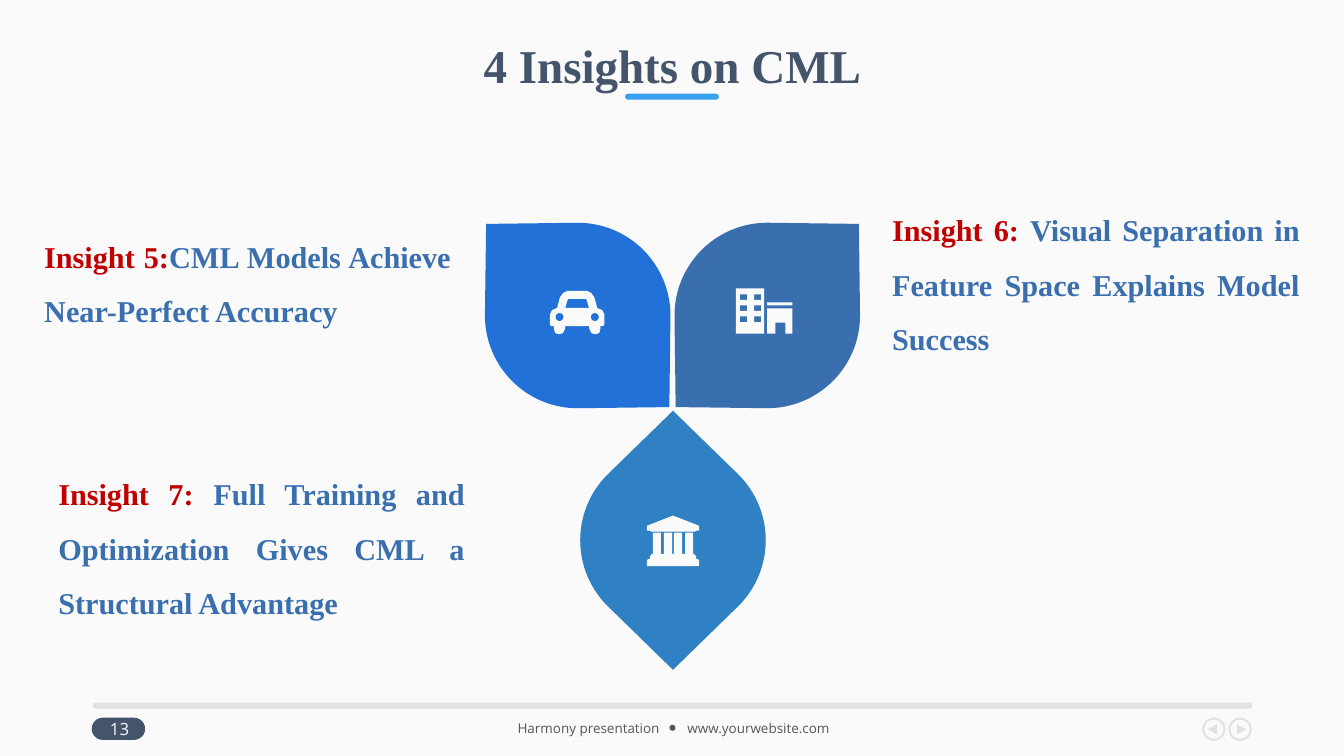
from math import cos, pi, sin

from pptx import Presentation
from pptx.dml.color import RGBColor
from pptx.enum.shapes import MSO_SHAPE
from pptx.enum.text import MSO_ANCHOR, PP_ALIGN
from pptx.util import Cm, Pt

ROUND, OVAL = MSO_SHAPE.ROUNDED_RECTANGLE, MSO_SHAPE.OVAL
TOP, MIDDLE = MSO_ANCHOR.TOP, MSO_ANCHOR.MIDDLE
LEFT, CENTER, RIGHT, JUSTIFY = PP_ALIGN.LEFT, PP_ALIGN.CENTER, PP_ALIGN.RIGHT, PP_ALIGN.JUSTIFY
SERIF, SANS = "Times New Roman", "Open Sans"
PAPER, SLATE, GREY, PALE, RED, BLUE = "FAFAFA", "44546A", "565656", "E1E1E1", "C00000", "3A6FAF"

TITLE = "4 Insights on CML"
INSIGHTS = [
    ("Insight 5:", "CML Models Achieve Near-Perfect Accuracy", (0.34, 1.77, 4.23, 1.45)),
    ("Insight 6: ", "Visual Separation in Feature Space Explains Model Success", (8.75, 1.51, 4.24, 2.56)),
    ("Insight 7: ", "Full Training and Optimization Gives CML a Structural Advantage", (0.48, 4.13, 4.23, 2.17)),
]
FOOTER = [("Harmony presentation", 4.76, RIGHT), ("www.yourwebsite.com", 6.72, LEFT)]
BARS = [
    ((0.91, 7.12, 0.53, 0.22), SLATE),
    ((6.2, 0.93, 0.93, 0.06), "39A0ED"),
    ((0.92, 6.97, 11.5, 0.06), PALE),
]
PETAL_RADIUS, PETAL_TIP = 0.92, 1.285
PETALS = [(5.73, 3.13, 315, "2271D8"), (7.61, 3.13, 45, BLUE), (6.675, 5.36, 0, "2F81C4")]
BUTTONS = [(12.3, 1), (12.04, -1)]

CAR_AXIS, BANK_AXIS = 5.725, 6.675
CAR_BODY = [
    (5.63, 2.89), (5.59, 2.91), (5.56, 2.95), (5.53, 3.06), (5.48, 3.08), (5.46, 3.12),
    (5.46, 3.22), (5.47, 3.23), (5.5, 3.23), (5.5, 3.26), (5.51, 3.3), (5.55, 3.31),
    (5.58, 3.3), (5.6, 3.26), (5.6, 3.23),
]
CAR_WINDOW = [(5.63, 2.96), (5.6, 3.06)]
BANK_ROOF = [(6.675, 5.12), (6.42, 5.22), (6.42, 5.26), (6.45, 5.26), (6.46, 5.27)]
BANK_COLUMNS = [
    (6.66, 5.5), (6.66, 5.29), (6.59, 5.29), (6.59, 5.5), (6.55, 5.5), (6.55, 5.29),
    (6.48, 5.29), (6.48, 5.5), (6.47, 5.5), (6.45, 5.52), (6.45, 5.54),
]
BANK_BASE = [(6.43, 5.55), (6.42, 5.57), (6.42, 5.61)]
SHOP = [(7.61, 3.31), (7.69, 3.31), (7.69, 3.2), (7.79, 3.2), (7.79, 3.31), (7.86, 3.31), (7.86, 3.06), (7.61, 3.06)]


def inch(v):
    return Cm(v * 2.54)


def rgb(c):
    return RGBColor.from_string(c)


def paint(sp, fill, line=None):
    sp.shadow.inherit = False
    sp.fill.solid()
    sp.fill.fore_color.rgb = rgb(fill)
    if line:
        sp.line.color.rgb = rgb(fill)
        sp.line.width = Pt(line)
    else:
        sp.line.fill.background()


def shape(kind, box, fill, adjust=()):
    sp = s.shapes.add_shape(kind, *map(inch, box))
    for i, a in enumerate(adjust):
        sp.adjustments[i] = a
    paint(sp, fill)


def outline(contours, fill, line=None, rotation=0):
    fb = None
    for pts in contours:
        pts = [(inch(x), inch(y)) for x, y in pts]
        if fb is None:
            fb = s.shapes.build_freeform(*pts[0], scale=1.0)
        else:
            fb.move_to(*pts[0])
        fb.add_line_segments(pts[1:], close=True)
    sp = fb.convert_to_shape()
    sp.rotation = rotation
    paint(sp, fill, line)


def text(runs, box, size, font=SANS, bold=False, align=CENTER, anchor=MIDDLE, spacing=1.0, insets=(0.1, 0.05, 0.1, 0.05)):
    tf = s.shapes.add_textbox(*map(inch, box)).text_frame
    tf.word_wrap = True
    tf.vertical_anchor = anchor
    tf.margin_left, tf.margin_top, tf.margin_right, tf.margin_bottom = map(inch, insets)
    p = tf.paragraphs[0]
    p.alignment, p.line_spacing = align, spacing
    for words, color in runs:
        r = p.add_run()
        r.text = words
        r.font.size, r.font.name, r.font.bold = Pt(size), font, bold
        r.font.color.rgb = rgb(color)


def mirror(half, axis):
    return half + [(2 * axis - x, y) for x, y in reversed(half)]


def arc(cx, cy, radius, start, end, n=32):
    angles = [(start + (end - start) * i / n) * pi / 180 for i in range(n + 1)]
    return [(cx + radius * cos(a), cy + radius * sin(a)) for a in angles]


def circle(cx, cy, radius):
    return arc(cx, cy, radius, 0, 360)


def petal(cx, cy):
    right = arc(cx, cy, PETAL_RADIUS, -45, 45)
    left = arc(cx, cy, PETAL_RADIUS, 135, 225)
    return [(cx, cy - PETAL_TIP), *right, (cx, cy + PETAL_TIP), *left]


def rect(x, y, w, h):
    return [(x, y), (x + w, y), (x + w, y + h), (x, y + h)]


prs = Presentation()
prs.slide_width, prs.slide_height = inch(13.33), inch(7.5)
s = prs.slides.add_slide(prs.slide_layouts[6])
s.background.fill.solid()
s.background.fill.fore_color.rgb = rgb(PAPER)

for box, fill in BARS:
    shape(ROUND, box, fill, [0.5])
for cx, way in BUTTONS:
    cy = 7.235
    arrow = [(cx - way * 0.03, cy - 0.05), (cx + way * 0.06, cy), (cx - way * 0.03, cy + 0.05)]
    outline([circle(cx, cy, 0.115), circle(cx, cy, 0.095), arrow], PALE)
for words, x, align in FOOTER:
    text([(words, GREY)], (x, 7.02, 1.88, 0.4), 9.6, align=align)
shape(OVAL, (6.64, 7.19, 0.06, 0.06), GREY)

text([(TITLE, SLATE)], (0.92, 0.4, 11.5, 0.56), 33.6, SERIF, True, spacing=0.9, insets=(0.12, 0.06, 0.12, 0.06))
text([("13", PAPER)], (0.84, 7.08, 0.69, 0.3), 12)

for cx, cy, rotation, fill in PETALS:
    outline([petal(cx, cy)], fill, rotation=rotation)

outline([mirror(half, BANK_AXIS) for half in (BANK_ROOF, BANK_COLUMNS, BANK_BASE)], PAPER, 0.75)
windows = [rect(x, 2.92 + 0.11 * row, 0.07, 0.055) for x in (7.34, 7.48) for row in range(3)]
outline([rect(7.3, 2.86, 0.28, 0.45), *windows, rect(7.61, 3, 0.25, 0.03), SHOP], PAPER)
lights = [circle(x, 3.145, 0.045) for x in (5.55, 5.9)]
outline([mirror(CAR_BODY, CAR_AXIS), mirror(CAR_WINDOW, CAR_AXIS), *lights], PAPER, 0.75)

for label, words, box in INSIGHTS:
    text([(label, RED), (words, BLUE)], box, 21.6, SERIF, True, JUSTIFY, TOP, 1.5, (0.1, 0.41, 0.1, 0.05))

prs.save("out.pptx")
